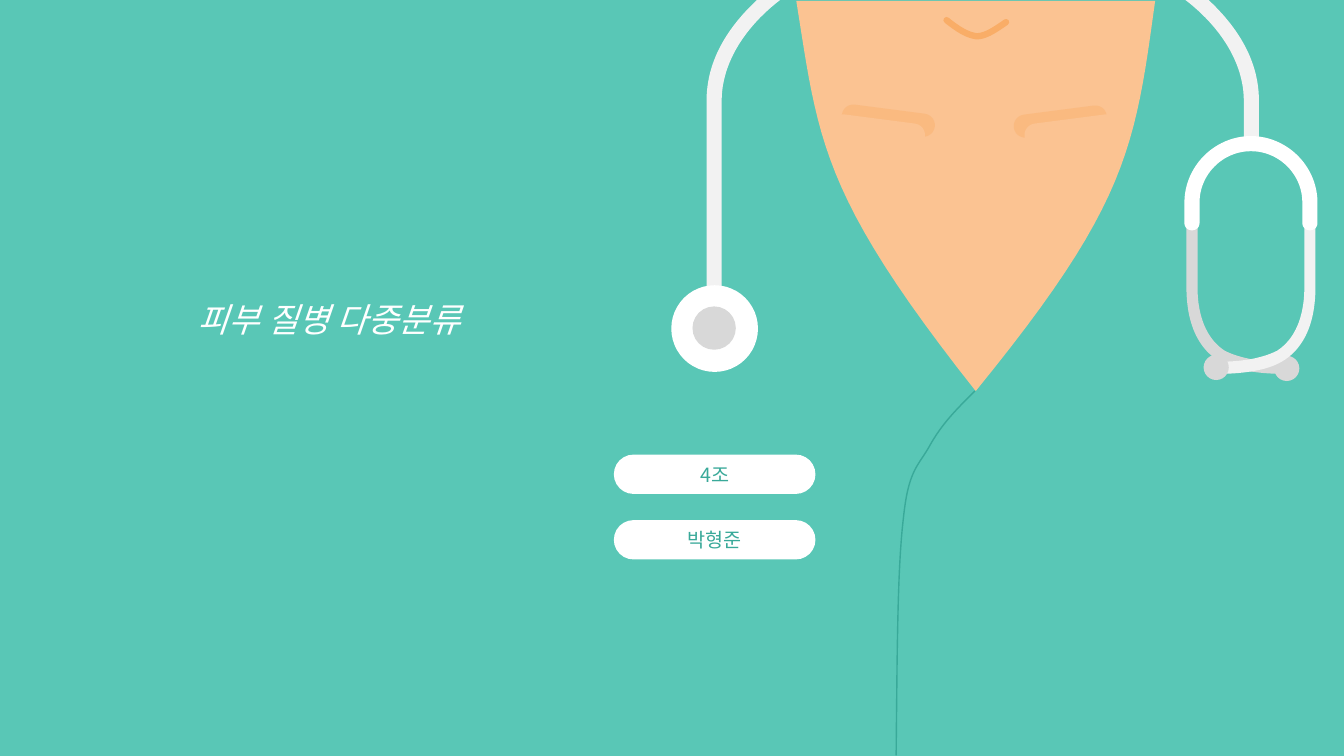
from lxml.etree import SubElement
from pptx import Presentation
from pptx.dml.color import RGBColor
from pptx.enum.shapes import MSO_SHAPE
from pptx.enum.text import MSO_ANCHOR, PP_ALIGN
from pptx.oxml.ns import qn
from pptx.util import Cm, Pt

# Content: positions are in inches, converted to Cm when drawn
FONT = "Noto Sans CJK KR"
COLORS = {
    "scrubs": "59C7B6", "skin": "FBC392", "crease": "F9AD67", "seam": "39A999",
    "tube": "F2F2F2", "metal": "D8D8D8", "white": "FFFFFF",
}
TITLE = "피부 질병 다중분류"
BADGES = ["4조", "박형준"]
BADGE_LEFT, BADGE_TOP, BADGE_STEP, BADGE_SIZE = 6.09, 4.51, 0.65, (2, 0.39)

# Paths: two numbers are a straight step, six are a Bezier curve
NECK = [(7.9, 0.01), (8.12, 1.38, 8.13, 1.92, 9.68, 3.88),
        (11.19, 2.03, 11.26, 1.47, 11.46, 0.01)]
SMILE = [(9.39, 0.2), (9.49, 0.28, 9.59, 0.35, 9.69, 0.36),
         (9.78, 0.36, 9.88, 0.29, 9.98, 0.22)]
SEAM = [(9.67, 3.88), (9.48, 4.07, 9.35, 4.2, 9.23, 4.41),
        (9.11, 4.63, 9.01, 4.65, 8.96, 5.16),
        (8.9, 5.67, 8.9, 6.58, 8.89, 7.49)]
ARM = [(11.77, 2.21), (11.77, 2.85), (11.77, 3.2, 11.88, 3.45, 12.09, 3.58),
       (12.25, 3.68, 12.5, 3.71, 12.76, 3.71), (12.76, 3.59),
       (12.55, 3.59, 12.33, 3.57, 12.15, 3.48),
       (11.95, 3.35, 11.88, 3.1, 11.88, 2.85), (11.88, 2.21)]
FORK = [(11.75, 2.21), (11.75, 2.01), (11.75, 1.65, 12.05, 1.35, 12.41, 1.35),
        (12.77, 1.35, 13.07, 1.65, 13.07, 2.01), (13.07, 2.21),
        (13.07, 2.31, 12.92, 2.31, 12.92, 2.21), (12.92, 2.01),
        (12.92, 1.73, 12.69, 1.5, 12.41, 1.5),
        (12.13, 1.5, 11.9, 1.73, 11.9, 2.01), (11.9, 2.21),
        (11.9, 2.31, 11.75, 2.31, 11.75, 2.21)]
CHEST_PIECE = [((6.66, 2.83, 0.86, 0.86), "white"), ((6.87, 3.04, 0.43, 0.43), "metal")]
LEFT_EAR_TIP, RIGHT_EAR_TIP = (11.94, 3.52, 0.25, 0.25), (12.64, 3.53, 0.25, 0.25)
COLLARBONES = [(8.25, 7.4, 315), (10.16, -7.4, 220)]  # left, rotation, shadow angle
HOSE_AXIS, ARM_AXIS = 9.75, 12.41


def inch(value):
    return Cm(value * 2.54)


def rgb(name):
    return RGBColor.from_string(COLORS[name])


def hose(bottom):
    return [(7.01, bottom), (7.01, 1), (7.01, 0.62, 7.2, 0.29, 7.51, 0), (7.74, 0),
            (7.4, 0.26, 7.16, 0.62, 7.16, 1), (7.16, bottom)]


def mirror(path, axis):
    return [tuple(2 * axis - v if i % 2 == 0 else v for i, v in enumerate(step))
            for step in path]


def flatten(path, pieces=24):
    points = [path[0]]
    for step in path[1:]:
        if len(step) == 2:
            points.append(step)
            continue
        start, first, second, end = points[-1], step[:2], step[2:4], step[4:]
        for n in range(1, pieces + 1):
            t = n / pieces
            points.append(tuple(
                (1 - t) ** 3 * a + 3 * (1 - t) ** 2 * t * b + 3 * (1 - t) * t ** 2 * c + t ** 3 * d
                for a, b, c, d in zip(start, first, second, end)))
    return points


def draw_path(path, fill=None, line=None, width=1):
    points = [(inch(x), inch(y)) for x, y in flatten(path)]
    builder = slide.shapes.build_freeform(*points[0])
    builder.add_line_segments(points[1:], close=fill is not None)
    outline = builder.convert_to_shape()
    outline.shadow.inherit = False
    if fill:
        outline.fill.solid()
        outline.fill.fore_color.rgb = rgb(fill)
        outline.line.fill.background()
    else:
        outline.fill.background()
        outline.line.color.rgb = rgb(line)
        outline.line.width = Pt(width)
        outline.line._get_or_add_ln().set("cap", "rnd")


def draw_shape(kind, box, fill):
    shape = slide.shapes.add_shape(kind, *map(inch, box))
    shape.shadow.inherit = False
    shape.fill.solid()
    shape.fill.fore_color.rgb = rgb(fill)
    shape.line.fill.background()
    if kind == MSO_SHAPE.ROUNDED_RECTANGLE:
        shape.adjustments[0] = 0.5
    return shape


def write(frame, text, size, color, italic=False):
    frame.text = text
    frame.word_wrap = True
    paragraph = frame.paragraphs[0]
    paragraph.alignment = PP_ALIGN.CENTER
    run = paragraph.runs[0]
    run.font.size = Pt(size)
    run.font.italic = italic
    run.font.color.rgb = rgb(color)
    run.font.name = FONT
    SubElement(run.font._element, qn("a:ea")).set("typeface", FONT)
    return paragraph


def cast_shadow(shape, angle):
    effects = shape._element.spPr.find(qn("a:effectLst"))
    shadow = SubElement(effects, qn("a:outerShdw"), blurRad="0", dist=str(Pt(10)),
                        dir=str(angle * 60000), algn="ctr", rotWithShape="0")
    tint = SubElement(shadow, qn("a:srgbClr"), val=COLORS["crease"])
    SubElement(tint, qn("a:alpha"), val="40000")


presentation = Presentation()
presentation.slide_width, presentation.slide_height = inch(13.333), inch(7.5)
slide = presentation.slides.add_slide(presentation.slide_layouts[6])
slide.background.fill.solid()
slide.background.fill.fore_color.rgb = rgb("scrubs")

# Neck and stethoscope
draw_path(NECK, "skin")
draw_path(hose(3.51), "tube")
draw_path(mirror(hose(1.47), HOSE_AXIS), "tube")
for disc, color in CHEST_PIECE:
    draw_shape(MSO_SHAPE.OVAL, disc, color)
draw_path(ARM, "metal")
draw_shape(MSO_SHAPE.OVAL, RIGHT_EAR_TIP, "metal")
draw_path(mirror(ARM, ARM_AXIS), "tube")
draw_shape(MSO_SHAPE.OVAL, LEFT_EAR_TIP, "metal")
draw_path(FORK, "white")

# Title
title = slide.shapes.add_textbox(inch(0), inch(2.72), inch(6.53), inch(1.17))
write(title.text_frame, TITLE, 24, "white", italic=True).line_spacing = 1.5

# Badges
for row, label in enumerate(BADGES):
    box = (BADGE_LEFT, BADGE_TOP + row * BADGE_STEP, *BADGE_SIZE)
    badge = draw_shape(MSO_SHAPE.ROUNDED_RECTANGLE, box, "white")
    badge.text_frame.vertical_anchor = MSO_ANCHOR.MIDDLE
    write(badge.text_frame, label, 14, "seam")

# Chin crease, collarbones and coat seam
draw_path(SMILE, line="crease", width=4.5)
for left, rotation, angle in COLLARBONES:
    bone = draw_shape(MSO_SHAPE.ROUNDED_RECTANGLE, (left, 1.18, 0.93, 0.23), "skin")
    bone.rotation = rotation
    cast_shadow(bone, angle)
draw_path(SEAM, line="seam")

presentation.save("out.pptx")
